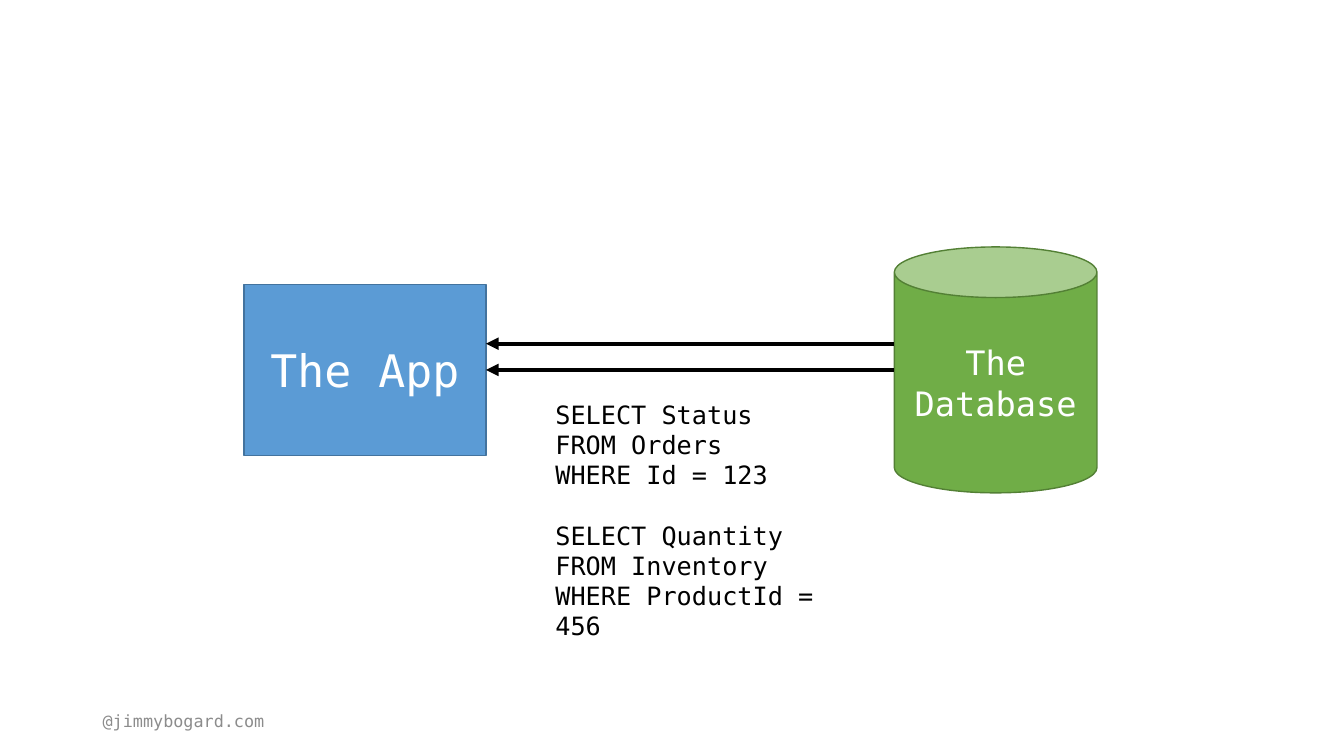
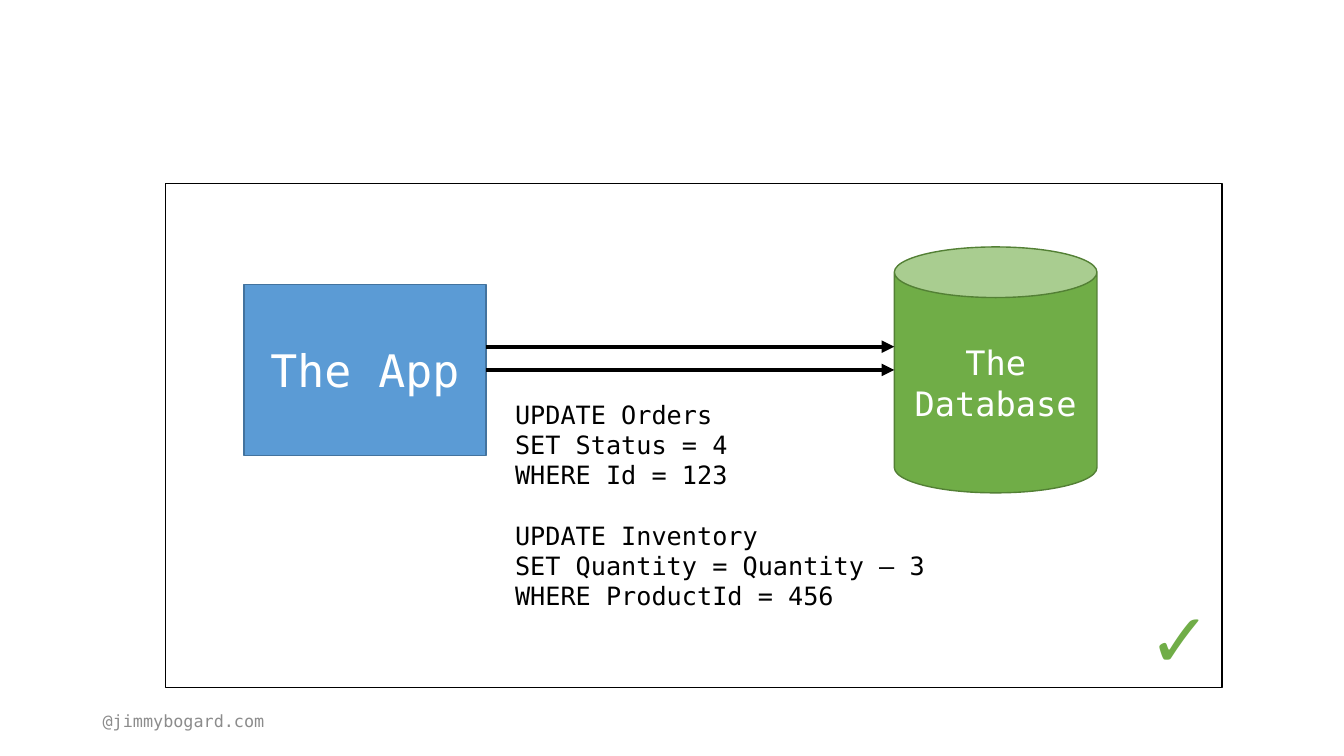
"""Build two slides on an app reading from and writing to its database."""
from dataclasses import dataclass

from lxml import etree
from pptx import Presentation
from pptx.dml.color import RGBColor
from pptx.enum.shapes import MSO_CONNECTOR, MSO_SHAPE
from pptx.enum.text import MSO_ANCHOR, MSO_AUTO_SIZE, PP_ALIGN
from pptx.oxml.ns import qn
from pptx.shapes.autoshape import Shape
from pptx.slide import Slide
from pptx.text.text import TextFrame
from pptx.util import Inches, Pt

RECT, CAN = MSO_SHAPE.RECTANGLE, MSO_SHAPE.CAN
STRAIGHT = MSO_CONNECTOR.STRAIGHT
MIDDLE, BOTTOM, TOP = MSO_ANCHOR.MIDDLE, MSO_ANCHOR.BOTTOM, MSO_ANCHOR.TOP
LEFT, CENTER, RIGHT = PP_ALIGN.LEFT, PP_ALIGN.CENTER, PP_ALIGN.RIGHT
GROW = MSO_AUTO_SIZE.SHAPE_TO_FIT_TEXT
BLANK = 6
RIGHT_SIDE = 3
MONO, SANS = "DejaVu Sans Mono", "Calibri"
COLORS = {
    "white": "FFFFFF",
    "black": "000000",
    "blue": "5B9BD5",
    "navy": "43739E",
    "green": "70AD47",
    "forest": "538035",
    "gray": "8C8C8C",
}


@dataclass(frozen=True)
class Style:
    size: float
    color: str
    font: str = MONO
    align: PP_ALIGN = LEFT
    anchor: MSO_ANCHOR = TOP


@dataclass(frozen=True)
class Box:
    left: float
    top: float
    width: float
    height: float


@dataclass(frozen=True)
class Node:
    kind: MSO_SHAPE
    box: Box
    fill: str
    line: str
    text: str
    style: Style


@dataclass(frozen=True)
class Page:
    upper: float
    end: str
    box: Box
    code: tuple[tuple[str, ...], ...]
    framed: bool = False


CODE = Style(18, "black")
FOOT = Style(12, "gray", anchor=MIDDLE)
FRAME = Node(RECT, Box(1.64, 1.82, 10.48, 5), "white", "black", "✓",
             Style(54, "green", SANS, RIGHT, BOTTOM))
STORE = Node(CAN, Box(8.87, 2.45, 2.01, 2.44), "green", "forest", "The Database",
             Style(24, "white", align=CENTER, anchor=MIDDLE))
APP = Node(RECT, Box(2.42, 2.82, 2.4, 1.7), "blue", "navy", "The App",
           Style(32, "white", align=CENTER, anchor=MIDDLE))
PAGES = (
    Page(3.41, "headEnd", Box(5.41, 3.91, 3.27, 2.22), (
        ("SELECT Status", "FROM Orders", "WHERE Id = 123"),
        ("SELECT Quantity", "FROM Inventory", "WHERE ProductId = 456"),
    )),
    Page(3.44, "tailEnd", Box(5.01, 3.91, 4.47, 2.22), (
        ("UPDATE Orders", "SET Status = 4", "WHERE Id = 123"),
        ("UPDATE Inventory", "SET Quantity = Quantity – 3", "WHERE ProductId = 456"),
    ), framed=True),
)


def tint(name: str) -> RGBColor:
    return RGBColor.from_string(COLORS[name])


def place(box: Box) -> tuple[Inches, ...]:
    return tuple(Inches(n) for n in (box.left, box.top, box.width, box.height))


def write(frame: TextFrame, blocks: tuple[tuple[str, ...], ...], style: Style) -> None:
    frame.word_wrap = True
    frame.vertical_anchor = style.anchor
    para = None
    for block in blocks:
        for row, text in enumerate(block):
            first = para is None
            para = frame.paragraphs[0] if first else frame.add_paragraph()
            para.alignment = style.align
            if row == 0 and not first:
                para.space_before = Pt(1.2 * style.size)
            run = para.add_run()
            run.text = text
            run.font.name = style.font
            run.font.size = Pt(style.size)
            run.font.color.rgb = tint(style.color)


def label(slide: Slide, box: Box, blocks: tuple[tuple[str, ...], ...],
          style: Style) -> Shape:
    shape = slide.shapes.add_textbox(*place(box))
    write(shape.text_frame, blocks, style)
    return shape


def draw(slide: Slide, node: Node) -> Shape:
    shape = slide.shapes.add_shape(node.kind, *place(node.box))
    shape.shadow.inherit = False
    shape.fill.solid()
    shape.fill.fore_color.rgb = tint(node.fill)
    shape.line.color.rgb = tint(node.line)
    shape.line.width = Pt(1)
    write(shape.text_frame, ((node.text,),), node.style)
    return shape


def arrow(slide: Slide, y: float, end: str, app: Shape | None = None) -> None:
    start = APP.box.left + APP.box.width
    link = slide.shapes.add_connector(
        STRAIGHT, Inches(start), Inches(y), Inches(STORE.box.left), Inches(y))
    if app is not None:
        link.begin_connect(app, RIGHT_SIDE)
    link.line.color.rgb = tint("black")
    link.line.width = Pt(3)
    props = link.element.spPr
    etree.SubElement(props.find(qn("a:ln")), qn(f"a:{end}"), type="triangle")
    etree.SubElement(props, qn("a:effectLst"))


def build(slide: Slide, page: Page) -> None:
    if page.framed:
        draw(slide, FRAME)
    draw(slide, STORE)
    app = draw(slide, APP)
    arrow(slide, APP.box.top + APP.box.height / 2, page.end, app)
    code = label(slide, page.box, page.code, CODE)
    code.text_frame.auto_size = GROW
    arrow(slide, page.upper, page.end)
    label(slide, Box(0.92, 6.95, 3, 0.4), (("@jimmybogard.com",),), FOOT)


def main() -> None:
    deck = Presentation()
    deck.slide_width, deck.slide_height = Inches(13.33), Inches(7.5)
    for page in PAGES:
        build(deck.slides.add_slide(deck.slide_layouts[BLANK]), page)
    deck.save("out.pptx")


if __name__ == "__main__":
    main()
